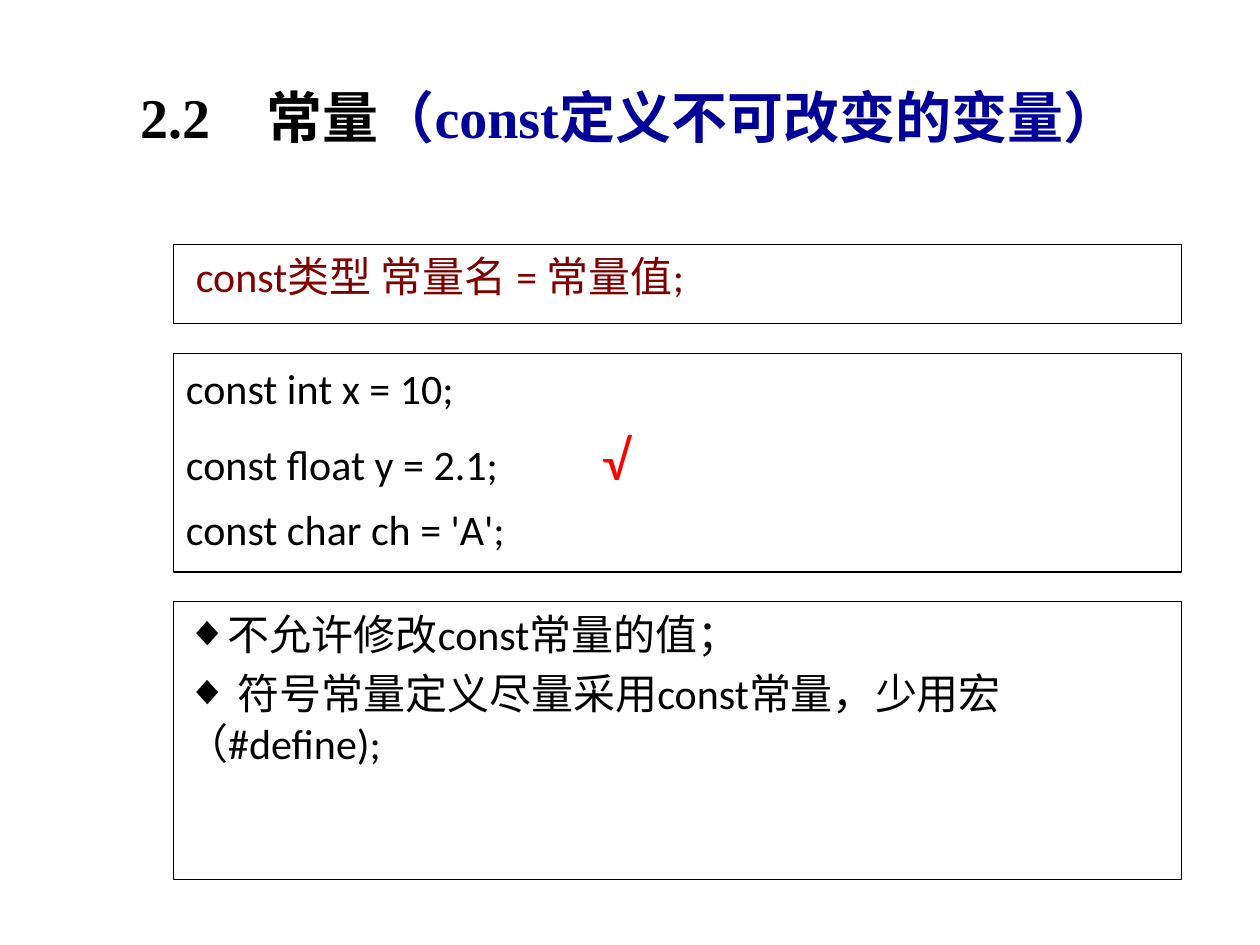
from lxml import etree
from pptx import Presentation
from pptx import util as u
from pptx.dml.color import RGBColor
from pptx.enum import shapes, text
from pptx.oxml import ns

BLACK = RGBColor(0, 0, 0)
NAVY = RGBColor(0, 0, 0x99)
MAROON = RGBColor(0x80, 0, 0)
RED = RGBColor(0xFF, 0, 0)

BOX_LEFT, BOX_WIDTH = u.Cm(3.5), u.Cm(20.32)
BOX_TOP, BOX_GAP = u.Cm(4.93), u.Cm(0.6)
RULE_H, EXAMPLE_H, NOTES_H = u.Cm(1.6), u.Cm(4.4), u.Cm(5.6)
SPACE_BEFORE = u.Pt(5)


def place(sp, left, top, width, height):
    sp.left, sp.top, sp.width, sp.height = left, top, width, height


def add_run(p, content, color=BLACK, size=24, font="Calibri", bold=False):
    r = p.add_run()
    r.text = content
    r.font.name = font
    r.font.size = u.Pt(size)
    r.font.bold = bold
    r.font.color.rgb = color


def outline(sp):
    sp.line.color.rgb = BLACK
    sp.line.width = u.Pt(0.75)
    tf = sp.text_frame
    tf.word_wrap = True
    tf.auto_size = text.MSO_AUTO_SIZE.NONE
    tf.vertical_anchor = text.MSO_ANCHOR.TOP
    return tf


def add_box(s, top, height):
    sp = s.shapes.add_shape(shapes.MSO_SHAPE.RECTANGLE, BOX_LEFT, top, BOX_WIDTH, height)
    sp.shadow.inherit = False
    sp.fill.background()
    return outline(sp)


def add_paragraph(tf, index):
    p = tf.add_paragraph() if index else tf.paragraphs[0]
    p.alignment = text.PP_ALIGN.LEFT
    p.space_before = SPACE_BEFORE if index else u.Pt(0)
    return p


def set_bullet(p, char):
    pPr = p._p.get_or_add_pPr()
    pPr.set("marL", "0")
    pPr.set("indent", "0")
    etree.SubElement(pPr, ns.qn("a:buChar")).set("char", char)


def set_tab(p, position):
    tabs = etree.SubElement(p._p.get_or_add_pPr(), ns.qn("a:tabLst"))
    tab = etree.SubElement(tabs, ns.qn("a:tab"))
    tab.set("pos", str(int(position)))
    tab.set("algn", "l")


def fill_title(sp):
    place(sp, u.Cm(1.27), u.Cm(0.76), u.Cm(22.86), u.Cm(3.18))
    sp.text_frame.vertical_anchor = text.MSO_ANCHOR.MIDDLE
    p = sp.text_frame.paragraphs[0]
    p.alignment = text.PP_ALIGN.CENTER
    for content, color in (("2.2　常量", BLACK), ("（const定义不可改变的变量）", NAVY)):
        add_run(p, content, color, 32, "Times New Roman", True)


def add_rule(s, top):
    tf = add_box(s, top, RULE_H)
    p = add_paragraph(tf, 0)
    p._p.get_or_add_pPr().set("marL", str(int(u.Cm(0.2))))
    add_run(p, "const类型 常量名 = 常量值;", MAROON)


def add_example(s, top):
    tf = add_box(s, top, EXAMPLE_H)
    lines = (("const int x = 10;", ""),
             ("const float y = 2.1;", "√"),
             ("const char ch = 'A';", ""))
    for i, (code, mark) in enumerate(lines):
        p = add_paragraph(tf, i)
        p.line_spacing = 1.05
        if mark:
            set_tab(p, u.Cm(8.4))
            add_run(p, code + "\t")
            add_run(p, mark, RED, 32)
        else:
            add_run(p, code)


def fill_notes(sp, top):
    place(sp, BOX_LEFT, top, BOX_WIDTH, NOTES_H)
    tf = outline(sp)
    notes = ("不允许修改const常量的值；",
             " 符号常量定义尽量采用const常量，少用宏（#define);")
    for i, note in enumerate(notes):
        p = add_paragraph(tf, i)
        set_bullet(p, "◆")
        add_run(p, note)


def main():
    prs = Presentation()
    prs.slide_width, prs.slide_height = u.Cm(25.4), u.Cm(19.05)
    s = prs.slides.add_slide(prs.slide_layouts[1])
    example_top = BOX_TOP + RULE_H + BOX_GAP
    notes_top = example_top + EXAMPLE_H + BOX_GAP
    fill_title(s.shapes.title)
    add_rule(s, BOX_TOP)
    add_example(s, example_top)
    fill_notes(s.placeholders[1], notes_top)
    prs.save("out.pptx")


if __name__ == "__main__":
    main()
